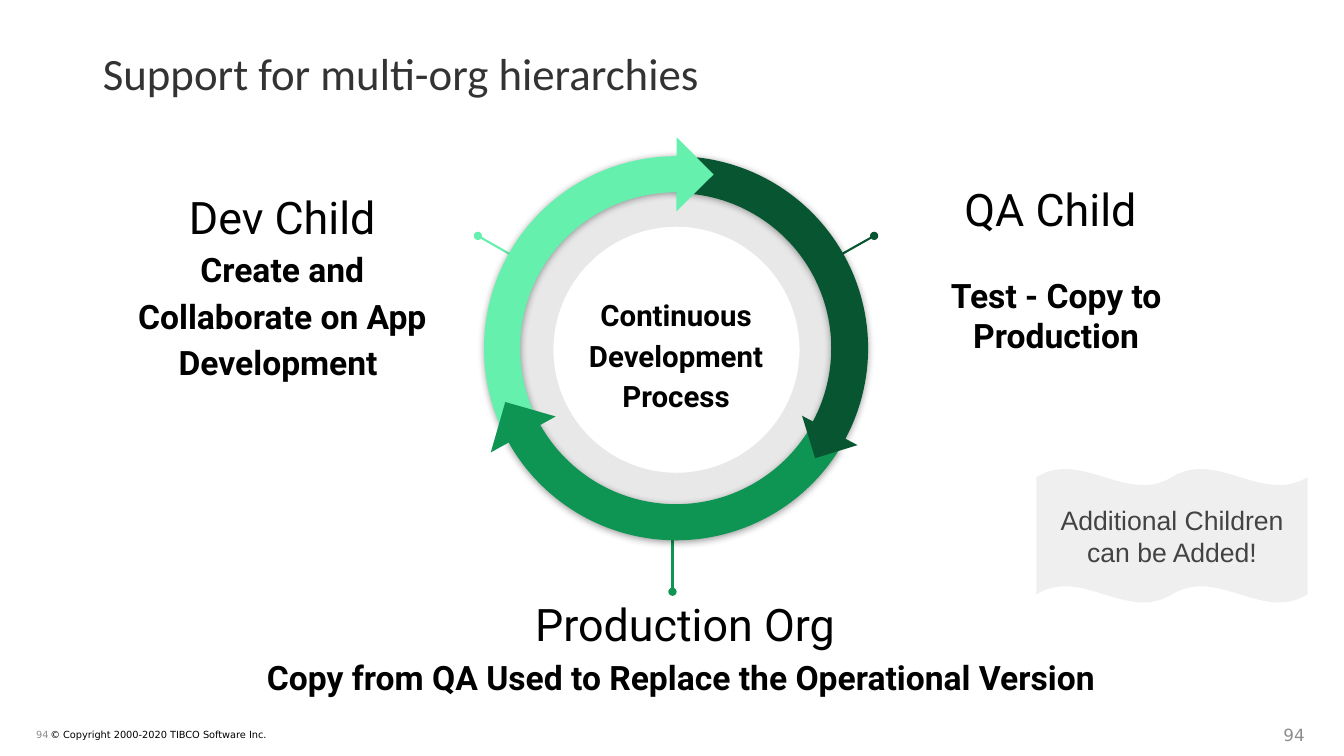
from lxml import etree
from pptx import Presentation
from pptx.dml.color import RGBColor
from pptx.enum.shapes import MSO_CONNECTOR, MSO_SHAPE
from pptx.enum.text import MSO_ANCHOR, MSO_AUTO_SIZE, PP_ALIGN
from pptx.oxml import parse_xml
from pptx.oxml.ns import nsdecls, qn
from pptx.util import Pt

PX = 9144
DARK, LIGHT, GREEN = "085631", "65F0AD", "0E9453"
LEFT, CENTER, RIGHT = PP_ALIGN.LEFT, PP_ALIGN.CENTER, PP_ALIGN.RIGHT
TOP, MIDDLE = MSO_ANCHOR.TOP, MSO_ANCHOR.MIDDLE


def rgb(color):
    return RGBColor.from_string(color)


def write(s, lines, font, color, align=CENTER, anchor=TOP, inset=(13, 13), spacing=1.0):
    tf = s.text_frame
    tf.word_wrap = True
    tf.auto_size = MSO_AUTO_SIZE.NONE
    tf.vertical_anchor = anchor
    tf.margin_left = tf.margin_right = inset[0] * PX
    tf.margin_top = tf.margin_bottom = inset[1] * PX
    for i, (text, size, bold, before) in enumerate(lines):
        p = tf.add_paragraph() if i else tf.paragraphs[0]
        p.text = text
        p.alignment = align
        p.line_spacing = spacing
        if i:
            p.space_before = Pt(before)
        p.font.name = font
        p.font.size = Pt(size)
        p.font.bold = bold
        p.font.color.rgb = rgb(color)


prs = Presentation()
prs.slide_width, prs.slide_height = 1333 * PX, 750 * PX
slide = prs.slides.add_slide(prs.slide_layouts[5])
shapes = slide.shapes

title = shapes.title
title.left, title.top, title.width, title.height = [v * PX for v in (92, 40, 1242, 64)]
write(title, [("Support for multi-org hierarchies", 32, False, 0)],
      "Calibri", "333333", LEFT, inset=(10, 5))

for text, x, w, size, color, align in [
    ("94", 1004, 300, 12, "8D8D8D", RIGHT),
    ("© Copyright 2000-2020 TIBCO Software Inc.", 40, 268, 7, "000000", LEFT),
    ("94", 2, 56, 7, "8D8D8D", RIGHT),
]:
    s = shapes.add_textbox(x * PX, 709 * PX, w * PX, 40 * PX)
    write(s, [(text, size, False, 0)], "DejaVu Sans", color, align, MIDDLE, (10, 5))

ring = shapes.add_shape(MSO_SHAPE.DONUT, 491 * PX, 167 * PX, 360 * PX, 360 * PX)
ring.adjustments[0] = 0.161
ring.shadow.inherit = False
ring.line.fill.background()
ring.fill.solid()
ring.fill.fore_color.rgb = rgb("000000")
clr = ring.fill._xPr.find(qn("a:solidFill"))[0]
etree.SubElement(clr, qn("a:alpha")).set("val", "9000")

for x1, y1, x2, y2, color in [
    (474, 234, 535, 269, LIGHT),
    (867, 234, 805, 269, DARK),
    (667, 587, 667, 524, GREEN),
]:
    c = shapes.add_connector(MSO_CONNECTOR.STRAIGHT, x1 * PX, y1 * PX, x2 * PX, y2 * PX)
    c.line.color.rgb = rgb(color)
    c.line.width = Pt(1.5)
    etree.SubElement(c.line._get_or_add_ln(), qn("a:headEnd")).set("type", "oval")
    etree.SubElement(c._element.spPr, qn("a:effectLst"))

for x, y, w, h, spacing, anchor, lines in [
    (242, 571, 875, 82, 1.15, TOP, [
        ("Production Org", 32, False, 0),
        ("Copy from QA Used to Replace the Operational Version ", 24, True, 0)]),
    (106, 167, 348, 302, 1.15, TOP, [
        ("Dev Child", 32, False, 0),
        ("Create and Collaborate on App Development ", 24, True, 0)]),
    (867, 167, 361, 92, 1.0, TOP, [
        ("QA Child ", 32, False, 0),
        ("Test - Copy to Production", 24, True, 28)]),
    (568, 293, 205, 114, 1.15, MIDDLE, [
        ("Continuous Development Process", 21, True, 0)]),
]:
    s = shapes.add_textbox(x * PX, y * PX, w * PX, h * PX)
    write(s, lines, "Roboto", "000000", anchor=anchor, spacing=spacing)

ARC, TIP = MSO_SHAPE.BLOCK_ARC, MSO_SHAPE.RIGHT_TRIANGLE
for kind, x, y, size, rot, flip, adj, color in [
    (ARC, 480, 155, 381, 30, False, (144.144, 0.007, 0.096), DARK),
    (ARC, 480, 155, 381, 330, True, (143.486, 214.729, 0.094), LIGHT),
    (TIP, 645, 147, 52, 225.1, False, (), LIGHT),
    (ARC, 480, 155, 381, 210, True, (143.162, 215.027, 0.094), GREEN),
    (TIP, 801, 405, 44, 342.9, False, (), DARK),
    (TIP, 493, 405, 52, 106, False, (), GREEN),
]:
    s = shapes.add_shape(kind, x * PX, y * PX, size * PX, size * PX)
    s.rotation = rot
    s.fill.solid()
    s.fill.fore_color.rgb = rgb(color)
    s.line.fill.background()
    s.shadow.inherit = False
    for i, value in enumerate(adj):
        s.adjustments[i] = value
    spPr = s._element.spPr
    if flip:
        spPr.find(qn("a:xfrm")).set("flipH", "1")
    if kind == ARC:
        spPr.find(qn("a:effectLst")).append(parse_xml(
            f'<a:outerShdw {nsdecls("a")} blurRad="{Pt(5.6)}" dist="{Pt(0.8)}" dir="5400000">'
            '<a:srgbClr val="000000"><a:alpha val="40000"/></a:srgbClr></a:outerShdw>'))

wave = shapes.add_shape(MSO_SHAPE.DOUBLE_WAVE, 1028 * PX, 465 * PX, 269 * PX, 133 * PX)
wave.adjustments[0] = 0.0625
wave.shadow.inherit = False
wave.fill.solid()
wave.fill.fore_color.rgb = rgb("EFEFEF")
wave.line.fill.background()
write(wave, [("Additional Children can be Added!", 19, False, 0)],
      "Arial", "434343", anchor=MIDDLE)

prs.save("out.pptx")
